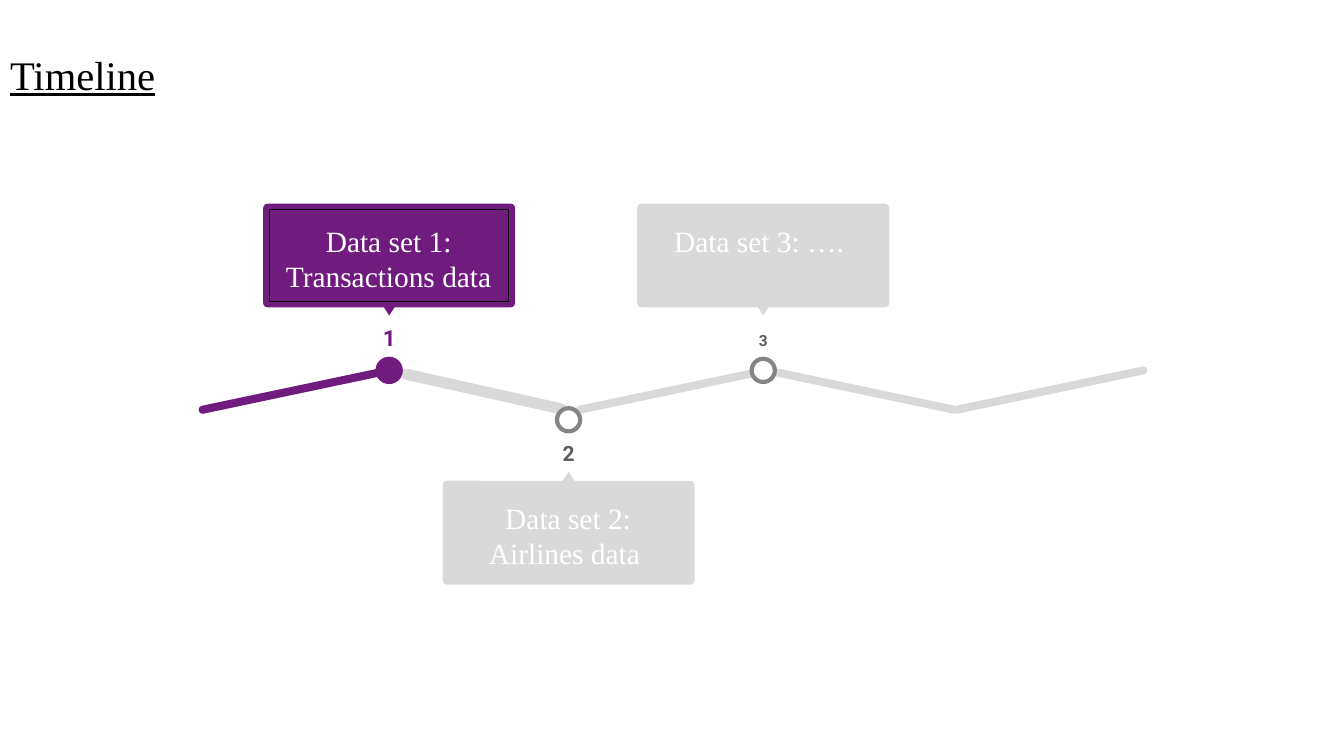
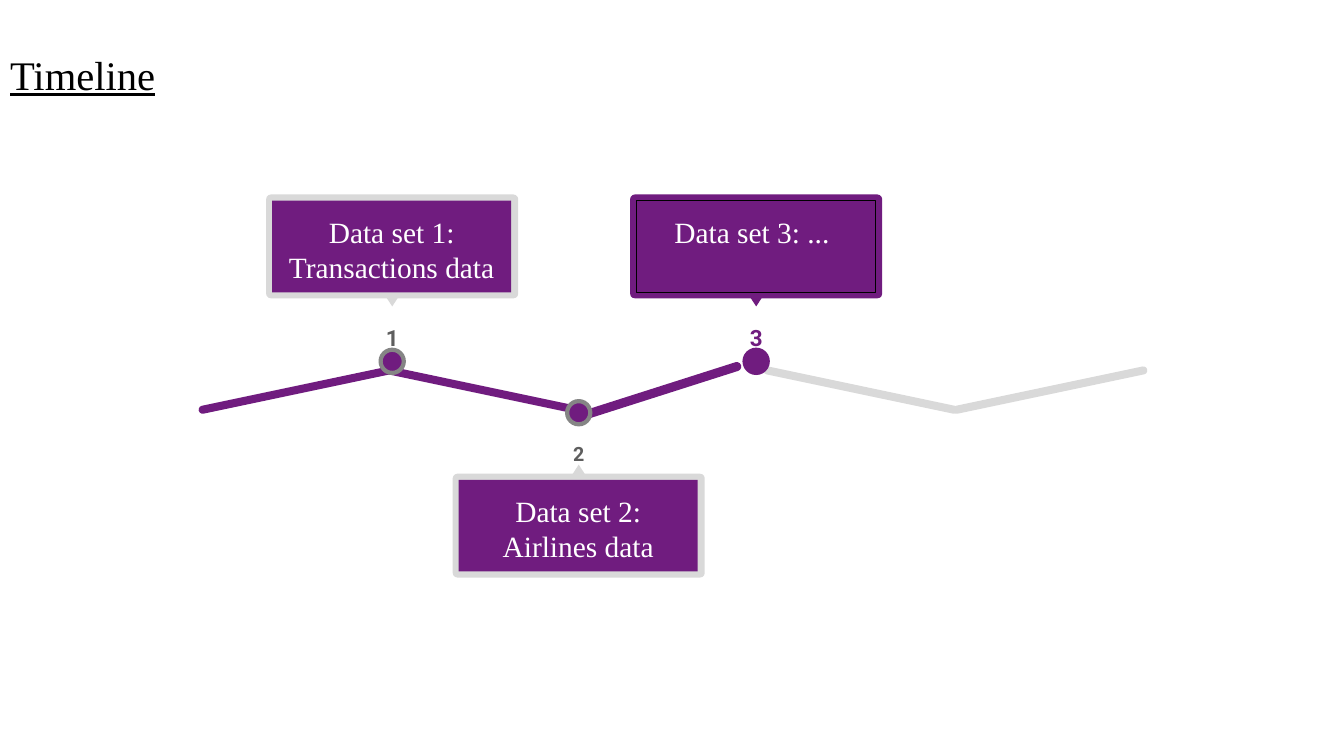
from dataclasses import dataclass

from pptx import Presentation
from pptx.dml.color import RGBColor
from pptx.enum.shapes import MSO_SHAPE as Shape
from pptx.enum.text import MSO_ANCHOR as Anchor, MSO_AUTO_SIZE as AutoSize, PP_ALIGN as Align
from pptx.shapes.autoshape import Shape as AutoShape
from pptx.shapes.shapetree import GroupShapes, SlideShapes
from pptx.slide import Slide
from pptx.text.text import TextFrame
from pptx.util import Inches, Pt

PURPLE = RGBColor(0x70, 0x1C, 0x7F)
LIGHT = RGBColor(0xD9, 0xD9, 0xD9)
RING = RGBColor(0x85, 0x85, 0x85)
SLATE = RGBColor(0x5E, 0x5E, 0x5E)
WHITE = RGBColor(0xFF, 0xFF, 0xFF)
BLACK = RGBColor(0x00, 0x00, 0x00)

SERIF, SANS = "Times New Roman", "Roboto"
TITLE_ONLY = 5

CARD_W, CARD_H = 2.5, 1.03
CAPTION_W, CAPTION_H, CAPTION_INSET = 2.37, 0.91, 0.06
POINTER_W, POINTER_H = 0.13, 0.1
DOT = 0.23
NUMBER_W, NUMBER_H = 1.02, 0.4
TILT = 11.9


@dataclass(frozen=True)
class State:
    card: RGBColor
    dot: RGBColor
    ring: RGBColor
    number: RGBColor
    caption_fill: RGBColor | None = None
    caption_line: RGBColor | None = None


ACTIVE = State(PURPLE, PURPLE, PURPLE, PURPLE, caption_line=BLACK)
DONE = State(LIGHT, PURPLE, RING, SLATE, caption_fill=PURPLE)
PENDING = State(LIGHT, WHITE, RING, SLATE)


@dataclass(frozen=True)
class Milestone:
    number: str
    caption: str
    state: State
    center: float
    card_top: float
    dot_top: float
    number_top: float
    number_size: int = 16


@dataclass(frozen=True)
class Segment:
    left: float
    color: RGBColor
    tilt: float
    width: float = 1.97
    height: float = 0.08


FIRST_LEG = Segment(1.95, PURPLE, -TILT)
LAST_LEGS = [Segment(7.55, LIGHT, TILT), Segment(9.43, LIGHT, -TILT)]

TIMELINES = [
    (
        [FIRST_LEG, Segment(3.96, LIGHT, 12.6, 1.68, 0.11),
         Segment(5.69, LIGHT, -TILT), *LAST_LEGS],
        [Milestone("1", "Data set 1: Transactions data", ACTIVE, 3.86, 2.02, 3.56, 3.05),
         Milestone("2", "Data set 2: Airlines data ", PENDING, 5.64, 4.77, 4.05, 4.2, 15),
         Milestone("3", "Data set 3: …. ", PENDING, 7.57, 2.02, 3.56, 3.13, 11)],
    ),
    (
        [FIRST_LEG, Segment(3.8, PURPLE, TILT),
         Segment(5.73, PURPLE, -17.7, 1.66, 0.09), *LAST_LEGS],
        [Milestone("1", "Data set 1: Transactions data", DONE, 3.89, 1.93, 3.47, 3.05),
         Milestone("2", "Data set 2: Airlines data", DONE, 5.74, 4.7, 3.98, 4.22, 14),
         Milestone("3", "Data set 3: ... ", ACTIVE, 7.5, 1.93, 3.47, 3.05)],
    ),
]


def add_shape(shapes: SlideShapes | GroupShapes, kind: Shape, left: float, top: float,
              width: float, height: float, fill: RGBColor | None,
              line: RGBColor | None = None, line_width: float = 0.75) -> AutoShape:
    shape = shapes.add_shape(kind, Inches(left), Inches(top), Inches(width), Inches(height))
    shape.shadow.inherit = False
    if fill is None:
        shape.fill.background()
    else:
        shape.fill.solid()
        shape.fill.fore_color.rgb = fill
    if line is None:
        shape.line.fill.background()
    else:
        shape.line.color.rgb = line
        shape.line.width = Pt(line_width)
    return shape


def write(frame: TextFrame, text: str, font_name: str, size: int, color: RGBColor,
          align: Align = Align.CENTER, inset: float = 0.13, bold: bool = False,
          underline: bool = False, spacing: float = 1.0) -> None:
    frame.word_wrap = True
    frame.auto_size = AutoSize.NONE
    frame.vertical_anchor = Anchor.TOP
    frame.margin_left = frame.margin_right = Inches(inset)
    frame.margin_top = frame.margin_bottom = Inches(inset)
    paragraph = frame.paragraphs[0]
    paragraph.alignment = align
    paragraph.line_spacing = spacing
    run = paragraph.add_run()
    run.text = text
    font = run.font
    font.name, font.size, font.bold, font.underline = font_name, Pt(size), bold, underline
    font.color.rgb = color


def add_title(slide: Slide, text: str) -> None:
    title = slide.shapes.title
    title.left, title.top = Inches(0), Inches(0.39)
    title.width, title.height = Inches(10.7), Inches(1.25)
    write(title.text_frame, text, SERIF, 29, BLACK, Align.LEFT, inset=0.1, underline=True)


def add_segment(slide: Slide, segment: Segment) -> None:
    leg = add_shape(slide.shapes, Shape.ROUNDED_RECTANGLE, segment.left, 3.83,
                    segment.width, segment.height, segment.color)
    leg.adjustments[0] = 0.5
    leg.rotation = segment.tilt


def add_milestone(slide: Slide, item: Milestone) -> None:
    """Draw a card whose pointer faces its numbered dot on the line."""
    shapes = slide.shapes.add_group_shape().shapes
    state = item.state
    card_left = item.center - CARD_W / 2
    card_above = item.card_top < item.dot_top

    card = add_shape(shapes, Shape.ROUNDED_RECTANGLE, card_left, item.card_top,
                     CARD_W, CARD_H, state.card)
    card.adjustments[0] = 0.045

    pointer_top = item.card_top + (1.01 if card_above else -0.09)
    pointer = add_shape(shapes, Shape.ISOSCELES_TRIANGLE, item.center - POINTER_W / 2,
                        pointer_top, POINTER_W, POINTER_H, state.card)
    pointer.rotation = 180 if card_above else 0

    caption = add_shape(shapes, Shape.RECTANGLE, card_left + CAPTION_INSET,
                        item.card_top + CAPTION_INSET, CAPTION_W, CAPTION_H,
                        state.caption_fill, state.caption_line)
    write(caption.text_frame, item.caption, SERIF, 21, WHITE)

    number = shapes.add_textbox(Inches(item.center - NUMBER_W / 2), Inches(item.number_top),
                                Inches(NUMBER_W), Inches(NUMBER_H))
    write(number.text_frame, item.number, SANS, item.number_size, state.number,
          bold=True, spacing=1.15)

    add_shape(shapes, Shape.OVAL, item.center - DOT / 2, item.dot_top, DOT, DOT,
              state.dot, state.ring, 3)


def main() -> None:
    deck = Presentation()
    deck.slide_width, deck.slide_height = Inches(13.33), Inches(7.5)
    for segments, milestones in TIMELINES:
        slide = deck.slides.add_slide(deck.slide_layouts[TITLE_ONLY])
        add_title(slide, "Timeline")
        for segment in segments:
            add_segment(slide, segment)
        for milestone in milestones:
            add_milestone(slide, milestone)
    deck.save("out.pptx")


if __name__ == "__main__":
    main()
